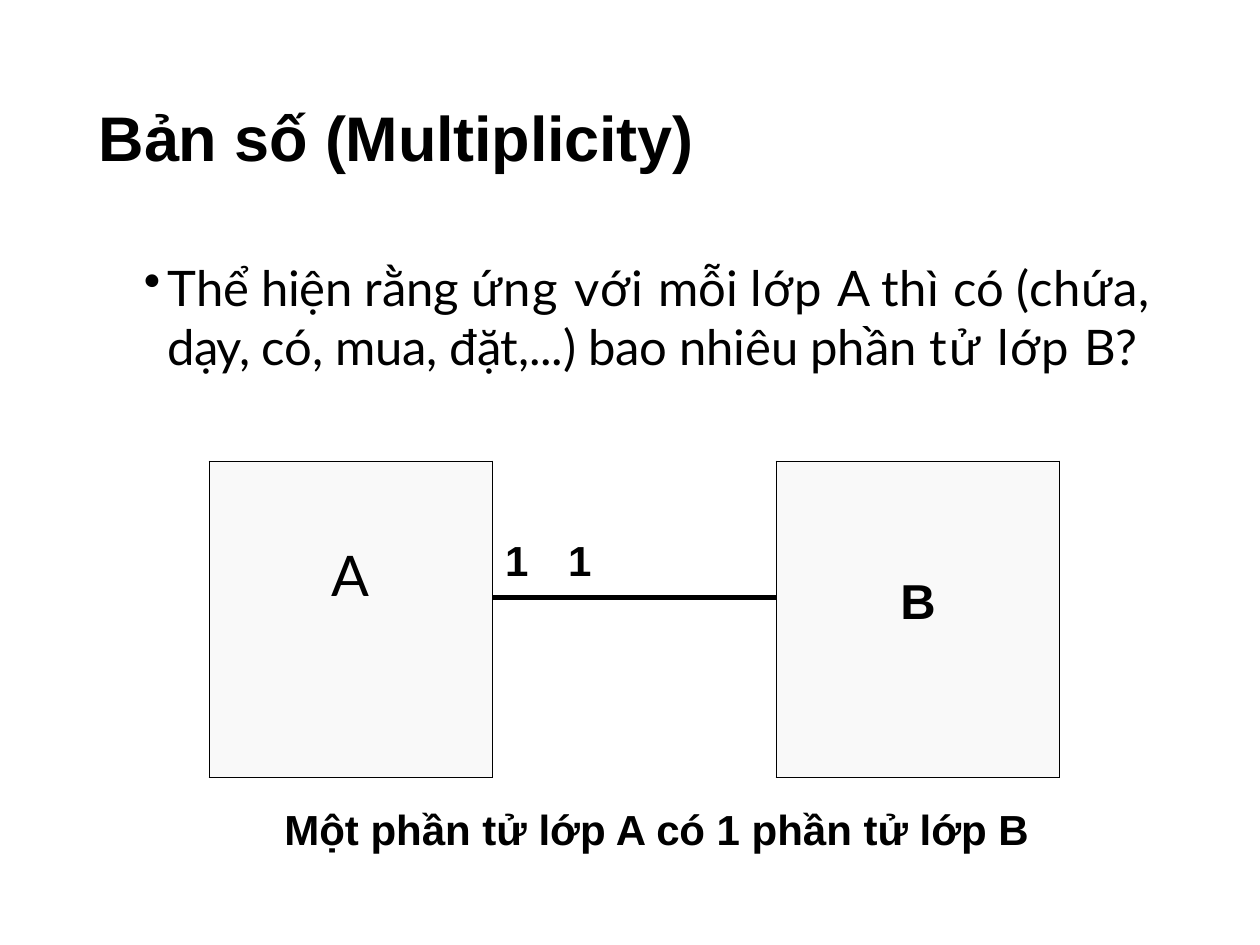
from lxml import etree
from pptx import Presentation
from pptx import util as u
from pptx.dml.color import RGBColor
from pptx.enum import text
from pptx.oxml import ns


def color(value):
    return RGBColor.from_string(value)


def add_element(parent, tag, **attributes):
    element = etree.SubElement(parent, ns.qn(tag))
    for name, value in attributes.items():
        element.set(name, str(value))
    return element


class SlideBuilder:
    heading_font = "Arial"
    body_font = "Lato"
    ink = "000000"
    box_fill = "F9F9F9"

    def __init__(self, slide):
        self.slide = slide

    def add_runs(self, paragraph, runs, size, font, bold=False):
        """Add runs given as (wording, letter spacing in points)."""
        for wording, spacing in runs:
            run = paragraph.add_run()
            run.text = wording
            run.font.size = u.Pt(size)
            run.font.name = font
            run.font.bold = bold
            run.font.color.rgb = color(self.ink)
            run._r.get_or_add_rPr().set("spc", str(round(spacing * 100)))

    def indent(self, paragraph, left, first=0, bullet=None, tab=None):
        properties = paragraph._p.get_or_add_pPr()
        properties.set("marL", str(u.Pt(left)))
        properties.set("indent", str(u.Pt(first)))
        if bullet:
            add_element(properties, "a:buChar", char=bullet)
        if tab:
            tabs = add_element(properties, "a:tabLst")
            add_element(tabs, "a:tab", pos=u.Pt(tab), algn="l")

    def text_box(self, left, top, width, height, runs, size, font, bold=False):
        shape = self.slide.shapes.add_textbox(
            u.Pt(left), u.Pt(top), u.Pt(width), u.Pt(height))
        frame = shape.text_frame
        frame.word_wrap = True
        frame.auto_size = text.MSO_AUTO_SIZE.SHAPE_TO_FIT_TEXT
        frame.margin_left = frame.margin_right = frame.margin_bottom = 0
        frame.margin_top = u.Pt(1)
        paragraph = frame.paragraphs[0]
        paragraph.space_before = u.Pt(1)
        self.add_runs(paragraph, runs, size, font, bold)
        return paragraph

    def table(self, left, top, widths, heights):
        table = self.slide.shapes.add_table(
            len(heights), len(widths), u.Pt(left), u.Pt(top),
            u.Pt(sum(widths)), u.Pt(sum(heights))).table
        table.first_row = table.horz_banding = False
        for column, width in zip(table.columns, widths):
            column.width = u.Pt(width)
        for row, height in zip(table.rows, heights):
            row.height = u.Pt(height)
        return table

    def style_cell(self, cell, borders, fill=None):
        """Set border widths by side (L, R, T, B) and the fill."""
        properties = cell._tc.get_or_add_tcPr()
        for side in "LRTB":
            width = borders.get(side, 0)
            line = add_element(properties, f"a:ln{side}", w=u.Pt(width))
            if width:
                solid = add_element(line, "a:solidFill")
                add_element(solid, "a:srgbClr", val=self.ink)
            else:
                add_element(line, "a:noFill")
        if fill:
            cell.fill.solid()
            cell.fill.fore_color.rgb = color(fill)
        else:
            cell.fill.background()

    def cell_text(self, cell, drop, wording, size, font, bold, spacing=0):
        cell.margin_left = cell.margin_right = cell.margin_bottom = 0
        cell.margin_top = u.Pt(drop)
        paragraph = cell.text_frame.paragraphs[0]
        self.add_runs(paragraph, [(wording, spacing)], size, font, bold)
        return paragraph


def main():
    presentation = Presentation()
    presentation.slide_width, presentation.slide_height = u.Pt(720), u.Pt(540)
    slide = presentation.slides.add_slide(presentation.slide_layouts[6])
    builder = SlideBuilder(slide)
    heading, body = builder.heading_font, builder.body_font

    # Title
    title = builder.text_box(55.5, 55.5, 344, 45.5,
                             [("Bản số (Multiplicity)", -0.1)],
                             36, heading, True)
    builder.indent(title, 1)

    # Explanation
    explanation = builder.text_box(81.5, 146, 594, 69, [
        ("Thể hiện rằng ", -0.1), ("ứng ", 1), ("với ", 0.8),
        ("mỗi ", -0.1), ("lớp ", 0.8), ("A ", -0.1), ("thì ", 0.5),
        ("có ", -0.1), ("(chứa, ", 0.5), ("dạy, ", -0.6),
        ("có, mua, đặt,...) bao nhiêu ", -0.1), ("phần ", 0),
        ("tử ", 1.6), ("lớp ", 0.8), ("B?", -0.1)], 28, body)
    builder.indent(explanation, 14.4, -13.7, bullet="•", tab=14.4)

    # Class diagram: two tall cells joined by a thick middle border
    table = builder.table(119.5, 263.5, [162] * 3, [78, 103])
    thin, thick = 0.75, 3
    for column in (0, 2):
        for row in (0, 1):
            builder.style_cell(table.cell(row, column),
                               dict.fromkeys("LRTB", thin), builder.box_fill)
        table.cell(0, column).merge(table.cell(1, column))
    for row, side in enumerate("BT"):
        builder.style_cell(table.cell(row, 1),
                           {"L": thin, "R": thin, side: thick})

    class_a = builder.cell_text(table.cell(0, 0), 45.5, "A", 32, body, False)
    class_b = builder.cell_text(table.cell(0, 2), 65, "B", 28, heading, True)
    for paragraph in (class_a, class_b):
        paragraph.alignment = text.PP_ALIGN.CENTER
    counts = builder.cell_text(table.cell(0, 1), 44.5, "1\t1", 24, heading,
                               True, -0.1)
    builder.indent(counts, 7.2, tab=109.4)

    # Caption
    caption = builder.text_box(161.5, 458, 427, 31, [
        ("Một phần tử lớp A ", 0), ("có ", -0.1), ("1 phần tử lớp B", 0)],
        24, heading, True)
    builder.indent(caption, 1)

    presentation.save("out.pptx")


if __name__ == "__main__":
    main()
